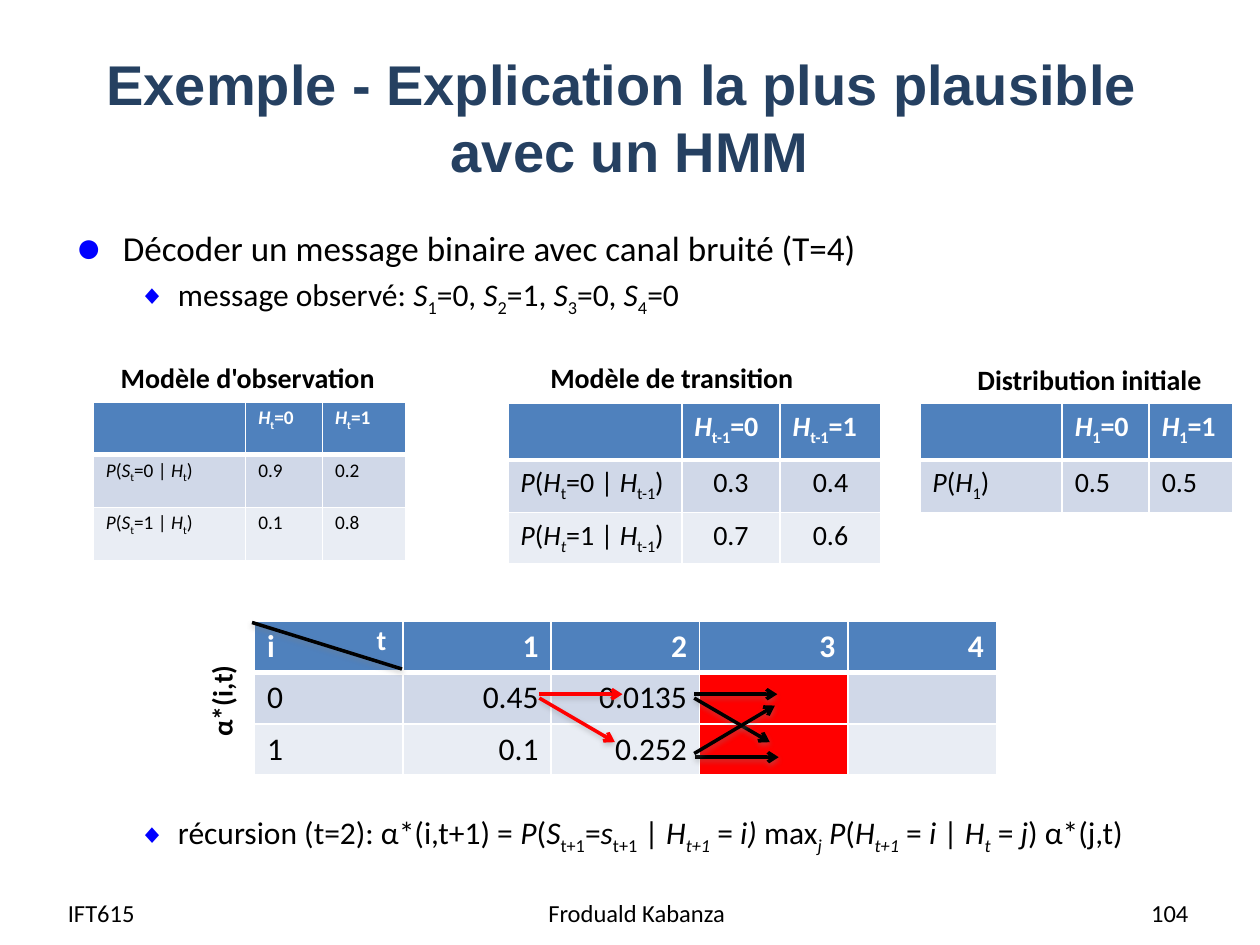
"""Build the slide on finding the most plausible explanation with an HMM."""
from lxml.etree import SubElement
from pptx import Presentation
from pptx.dml.color import RGBColor
from pptx.enum.shapes import MSO_CONNECTOR
from pptx.enum.text import MSO_ANCHOR, MSO_AUTO_SIZE, PP_ALIGN
from pptx.oxml import parse_xml
from pptx.oxml.ns import nsdecls, qn
from pptx.util import Pt

NAVY = RGBColor(0x25, 0x40, 0x61)
BLUE = RGBColor(0x4F, 0x81, 0xBD)
PALE = RGBColor(0xD0, 0xD8, 0xE8)
MIST = RGBColor(0xE9, 0xED, 0xF4)
RED = RGBColor(0xFF, 0x00, 0x00)
BLACK = RGBColor(0x00, 0x00, 0x00)
WHITE = RGBColor(0xFF, 0xFF, 0xFF)
DOT = RGBColor(0x00, 0x00, 0xFF)
LEFT, MID, RIGHT = PP_ALIGN.LEFT, PP_ALIGN.CENTER, PP_ALIGN.RIGHT


def write(par, text, size, color=BLACK, bold=False, face="Calibri"):
    """Add runs; slashes enclose italics and underscores enclose subscripts."""
    for i, part in enumerate(text.split("/")):
        for j, piece in enumerate(part.split("_")):
            if not piece:
                continue
            run = par.add_run()
            run.text = piece
            font = run.font
            font.name, font.size, font.bold = face, Pt(size), bold
            font.italic = i % 2 == 1
            font.color.rgb = color
            if j % 2:
                run._r.get_or_add_rPr().set("baseline", "-25000")


def border(cell, side, width):
    """Draw one white edge of a cell."""
    props = cell._tc.get_or_add_tcPr()
    props.append(parse_xml(
        f'<a:{side} {nsdecls("a")} w="{Pt(width)}"><a:solidFill>'
        f'<a:srgbClr val="{WHITE}"/></a:solidFill></a:{side}>'))


deck = Presentation()
deck.slide_width, deck.slide_height = Pt(720), Pt(540)
slide = deck.slides.add_slide(deck.slide_layouts[1])
shapes = slide.shapes

title = shapes.title
title.left, title.top, title.width, title.height = Pt(36), Pt(21.6), Pt(648), Pt(90)
frame = title.text_frame
frame.auto_size = MSO_AUTO_SIZE.NONE
frame.vertical_anchor = MSO_ANCHOR.MIDDLE
par = frame.paragraphs[0]
par.alignment = MID
write(par, "Exemple - Explication la plus plausible ", 32, NAVY, True, "Arial")
par.add_line_break()
write(par, "avec un HMM", 32, NAVY, True, "Arial")

body = slide.placeholders[1]
body.left, body.top, body.width, body.height = Pt(36), Pt(126), Pt(648), Pt(356.4)
frame = body.text_frame
frame.auto_size = MSO_AUTO_SIZE.NONE
items = [
    (0, 20, 0, "Décoder un message binaire avec canal bruité (T=4)"),
    (1, 18, 3.6, "message observé: /S/_1_=0, /S/_2_=1, /S/_3_=0, /S/_4_=0"),
    (1, 18, 283, "récursion (t=2): α*(i,t+1) = /P/(/S/_t+1_=/s/_t+1_ | /H_t+1_/ = /i) /"
     "max/_j_ P/(/H_t+1_/ = /i /| /H_t_/ = /j/) α*(j,t)"),
]
marks = [("●", 125, 27, 27), ("◆", 85, 58.5, 22.5)]
for n, (level, size, gap, text) in enumerate(items):
    par = frame.add_paragraph() if n else frame.paragraphs[0]
    par.level = level
    mark, scale, margin, hang = marks[level]
    props = par._p.get_or_add_pPr()
    props.set("marL", str(Pt(margin)))
    props.set("indent", str(-Pt(hang)))
    SubElement(SubElement(props, qn("a:buClr")), qn("a:srgbClr")).set("val", str(DOT))
    SubElement(props, qn("a:buSzPct")).set("val", str(scale * 1000))
    SubElement(props, qn("a:buFont")).set("typeface", "Arial")
    SubElement(props, qn("a:buChar")).set("char", mark)
    par.space_before = Pt(gap)
    write(par, text, size)

tables = [
    (53.3, 229.7, [87.1, 43.9, 47.5], [30.2] * 3, 11, 2.2, LEFT, LEFT, [
        ["", "/H/_t_=0", "/H/_t_=1"],
        ["/P/(/S/_t_=0 | /H/_t_)", "0.9", "0.2"],
        ["/P/(/S/_t_=1 | /H/_t_)", "0.1", "0.8"]]),
    (290.2, 230.4, [99.4, 56.2, 57.6], [32.4, 30.2, 28.8], 16, 3.6, LEFT, MID, [
        ["", "/H/_t-1_=0", "/H/_t-1_=1"],
        ["/P/(/H/_t_=0 | /H/_t-1_)", "0.3", "0.4"],
        ["/P/(/H_t_/=1 | /H/_t-1_)", "0.7", "0.6"]]),
    (145.4, 355, [84.8] * 5, [29.3] * 3, 18, 3.6, RIGHT, RIGHT, [
        ["i", "1", "2", "3", "4"],
        ["0", "0.45", "0.0135", "", ""],
        ["1", "0.1", "0.252", "", ""]]),
    (525.6, 230.4, [81.4, 49.7, 47.5], [32.4, 30.2], 16, 3.6, LEFT, LEFT, [
        ["", "/H/_1_=0", "/H/_1_=1"],
        ["/P/(/H/_1_)", "0.5", "0.5"]]),
]
for x, y, cols, rows, size, pad, head, align, data in tables:
    grid = shapes.add_table(len(rows), len(cols), Pt(x), Pt(y),
                            Pt(sum(cols)), Pt(sum(rows))).table
    for c, width in enumerate(cols):
        grid.columns[c].width = Pt(width)
    for r, height in enumerate(rows):
        grid.rows[r].height = Pt(height)
        for c, text in enumerate(data[r]):
            cell = grid.cell(r, c)
            cell.margin_top = cell.margin_bottom = Pt(pad)
            par = cell.text_frame.paragraphs[0]
            par.alignment = LEFT if c == 0 else align if r else head
            if text:
                write(par, text, size, BLACK if r else WHITE, r == 0)
            else:
                par.font.size = Pt(size)
            for side in ("lnL", "lnR", "lnT", "lnB"):
                thick = (r == 0 and side == "lnB") or (r == 1 and side == "lnT")
                border(cell, side, 3 if thick else 1)
            cell.fill.solid()
            hot = len(cols) == 5 and r and c == 3
            cell.fill.fore_color.rgb = RED if hot else (BLUE, PALE, MIST)[r]

TOP, CENTRE = MSO_ANCHOR.TOP, MSO_ANCHOR.MIDDLE
labels = [
    ("IFT615", 31.7, 506.9, 139, 28.8, 14, BLACK, False, LEFT, CENTRE, 0),
    ("Froduald Kabanza", 249.8, 506.9, 228.2, 28.8, 14, BLACK, False, MID, CENTRE, 0),
    ("104", 518.4, 506.9, 167.8, 28.8, 14, BLACK, False, RIGHT, CENTRE, 0),
    ("Modèle d'observation", 61.9, 202.3, 172.8, 26.6, 16, BLACK, True, LEFT, TOP, 0),
    ("Modèle de transition", 307.4, 202.3, 192.2, 26.6, 16, BLACK, True, LEFT, TOP, 0),
    ("Distribution initiale", 551.5, 203.8, 192.2, 26.6, 16, BLACK, True, LEFT, TOP, 0),
    ("α*(i,t)", 93.6, 381.6, 66.2, 26.6, 16, BLACK, True, LEFT, TOP, 270),
    ("t", 208.1, 352.1, 21.6, 26.6, 16, WHITE, True, LEFT, TOP, 0),
]
for text, x, y, w, h, size, color, bold, align, anchor, turn in labels:
    box = shapes.add_textbox(Pt(x), Pt(y), Pt(w), Pt(h))
    box.rotation = turn
    frame = box.text_frame
    frame.word_wrap = True
    frame.vertical_anchor = anchor
    par = frame.paragraphs[0]
    par.alignment = align
    write(par, text, size, color, bold)

lines = [
    (144, 355.7, 229.7, 382.3, BLACK, False),
    (396.7, 396.7, 444.2, 396.7, BLACK, True),
    (397.4, 432.7, 445, 432.7, BLACK, True),
    (396.7, 398.9, 439.9, 424.1, BLACK, True),
    (396.7, 430.6, 442.8, 403.2, BLACK, True),
    (308.2, 396.7, 355.7, 396.7, RED, True),
    (308.2, 398.9, 351.4, 424.1, RED, True),
]
for x, y, right, end, color, tip in lines:
    line = shapes.add_connector(MSO_CONNECTOR.STRAIGHT, Pt(x), Pt(y), Pt(right), Pt(end))
    line.line.color.rgb = color
    line.line.width = Pt(2)
    props = line._element.spPr
    if tip:
        SubElement(props.find(qn("a:ln")), qn("a:tailEnd")).set("type", "arrow")
    props.append(parse_xml(
        f'<a:effectLst {nsdecls("a")}><a:outerShdw blurRad="{Pt(3.1)}" dist="{Pt(1.6)}" '
        'dir="5400000" rotWithShape="0"><a:srgbClr val="808080"><a:alpha val="38000"/>'
        '</a:srgbClr></a:outerShdw></a:effectLst>'))

deck.save("out.pptx")
